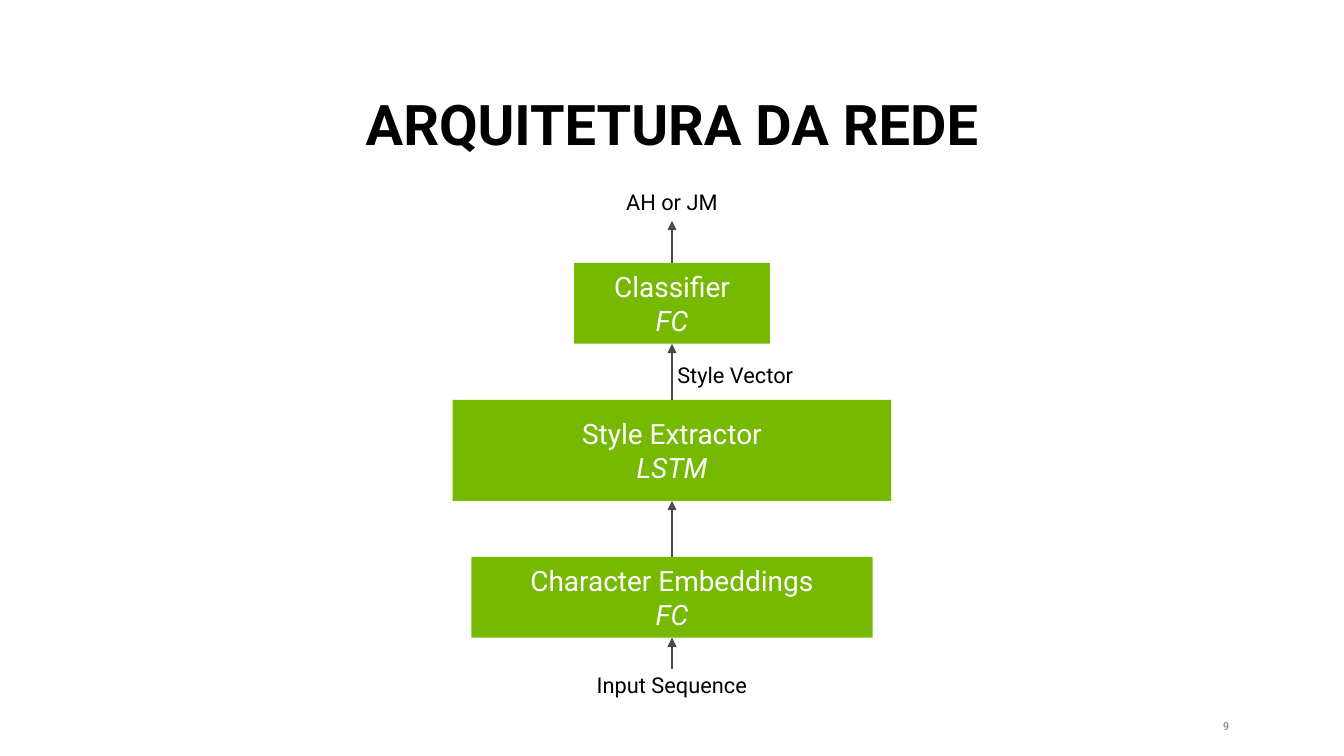
from lxml import etree
from pptx import Presentation
from pptx.dml.color import RGBColor
from pptx.enum.shapes import MSO_CONNECTOR, MSO_SHAPE
from pptx.enum.text import MSO_ANCHOR, MSO_AUTO_SIZE, PP_ALIGN
from pptx.oxml.ns import qn
from pptx.util import Pt

RECTANGLE = MSO_SHAPE.RECTANGLE
STRAIGHT = MSO_CONNECTOR.STRAIGHT
MIDDLE, BOTTOM = MSO_ANCHOR.MIDDLE, MSO_ANCHOR.BOTTOM
CENTER, RIGHT = PP_ALIGN.CENTER, PP_ALIGN.RIGHT
NO_FIT = MSO_AUTO_SIZE.NONE
TOP_SIDE, BOTTOM_SIDE = 0, 2

FONT = "Roboto"
COLORS = {"layer": "76B900", "arrow": "4A4A4A", "text": "000000",
          "layer_text": "FFFFFF", "number": "6E6E6E"}


def color(name):
    return RGBColor.from_string(COLORS[name])


def add_span(para, text, size, color_name, bold=False, italic=False):
    span = para.add_run()
    span.text = text
    span.font.name = FONT
    span.font.size = Pt(size)
    span.font.bold = bold
    span.font.italic = italic
    span.font.color.rgb = color(color_name)


def add_title(page, box, text):
    title = page.shapes.title
    title.left, title.top, title.width, title.height = map(Pt, box)
    frame = title.text_frame
    frame.auto_size = NO_FIT
    frame.vertical_anchor = BOTTOM
    para = frame.paragraphs[0]
    para.alignment = CENTER
    para.line_spacing = 0.9
    add_span(para, text, 36, "text", bold=True)


def add_label(page, box, text):
    label = page.shapes.add_textbox(*map(Pt, box))
    frame = label.text_frame
    frame.word_wrap = True
    frame.vertical_anchor = MIDDLE
    para = frame.paragraphs[0]
    para.alignment = CENTER
    para.line_spacing = 0.9
    add_span(para, text, 14, "text")
    return label


def add_layer(page, box, name, kind):
    layer = page.shapes.add_shape(RECTANGLE, *map(Pt, box))
    layer.shadow.inherit = False
    layer.fill.solid()
    layer.fill.fore_color.rgb = color("layer")
    layer.line.fill.background()
    frame = layer.text_frame
    frame.vertical_anchor = MIDDLE
    for para, text, italic in ((frame.paragraphs[0], name, False),
                               (frame.add_paragraph(), kind, True)):
        para.alignment = CENTER
        add_span(para, text, 18, "layer_text", italic=italic)
    return layer


def add_arrow(page, lower, upper):
    arrow = page.shapes.add_connector(STRAIGHT, 0, 0, 0, 0)
    arrow.begin_connect(lower, TOP_SIDE)
    arrow.end_connect(upper, BOTTOM_SIDE)
    arrow.line.color.rgb = color("arrow")
    arrow.line.width = Pt(0.75)
    etree.SubElement(arrow.line._get_or_add_ln(), qn("a:tailEnd"), type="triangle")
    etree.SubElement(arrow._element.spPr, qn("a:effectLst"))


def add_network(page, box):
    left, top, width, height = box

    def centered(part_width, offset, part_height):
        return left + (width - part_width) / 2, top + offset, part_width, part_height

    stages = [
        add_label(page, centered(122, height - 22.5, 22.5), "Input Sequence"),
        add_layer(page, centered(258, 238.5, 52), "Character Embeddings", "FC"),
        add_layer(page, centered(282, 137.5, 65), "Style Extractor", "LSTM"),
        add_layer(page, centered(126, 49.5, 52), "Classifier", "FC"),
        add_label(page, centered(103, 0, 22.5), "AH or JM"),
    ]
    for lower, upper in zip(stages, stages[1:]):
        add_arrow(page, lower, upper)
    add_label(page, (left + width / 2 - 10.8, top + 111, 103, 22.5), "Style Vector")


def add_page_number(page, box, number):
    frame = page.shapes.add_textbox(*map(Pt, box)).text_frame
    frame.margin_left = frame.margin_right = 0
    frame.margin_top = frame.margin_bottom = 0
    frame.word_wrap = True
    frame.vertical_anchor = MIDDLE
    para = frame.paragraphs[0]
    para.alignment = RIGHT
    add_span(para, number, 7, "number")


def main():
    deck = Presentation()
    deck.slide_width, deck.slide_height = Pt(864), Pt(486)
    page = deck.slides.add_slide(deck.slide_layouts[5])
    add_title(page, (39.5, 58.3, 785, 46.8), "ARQUITETURA DA REDE")
    add_network(page, (291, 119.5, 282, 333))
    add_page_number(page, (767.5, 461.5, 22.7, 11), "9")
    deck.save("out.pptx")


if __name__ == "__main__":
    main()
